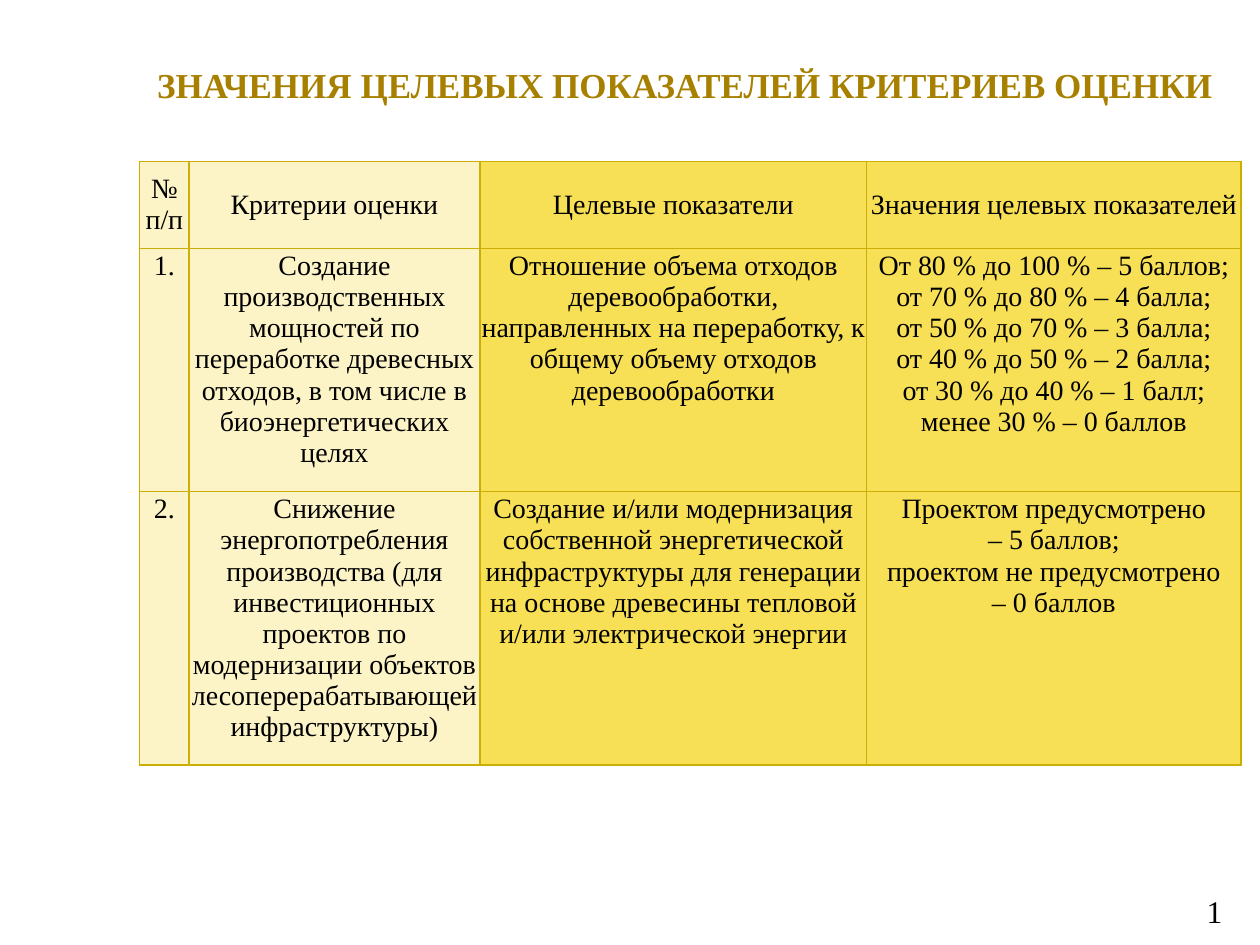
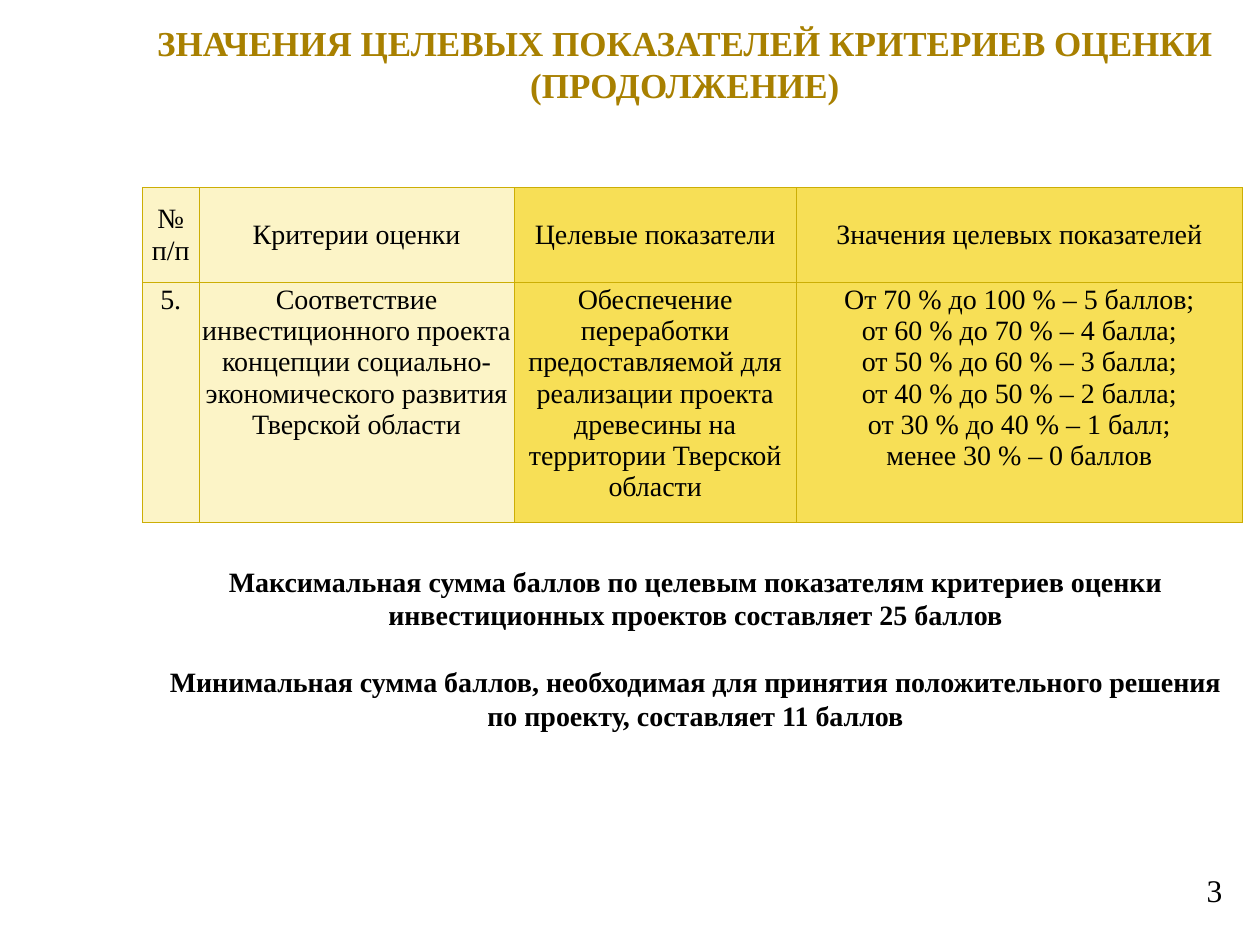
from lxml import etree
from pptx import Presentation
from pptx.dml.color import RGBColor
from pptx.enum.text import MSO_ANCHOR, PP_ALIGN
from pptx.oxml.ns import qn
from pptx.util import Inches, Pt

CENTER, RIGHT = PP_ALIGN.CENTER, PP_ALIGN.RIGHT
TOP, MIDDLE = MSO_ANCHOR.TOP, MSO_ANCHOR.MIDDLE

FONT = "Times New Roman"
GOLD = RGBColor(0xA8, 0x80, 0x00)
BLACK = RGBColor(0x00, 0x00, 0x00)
PALE = RGBColor(0xFC, 0xF4, 0xC7)
YELLOW = RGBColor(0xF7, 0xDF, 0x56)
EDGE = RGBColor(0xCC, 0xAE, 0x05)
FILLS = (PALE, PALE, YELLOW, YELLOW)

TITLE = "ЗНАЧЕНИЯ ЦЕЛЕВЫХ ПОКАЗАТЕЛЕЙ КРИТЕРИЕВ ОЦЕНКИ"
HEAD = ("№ п/п", "Критерии оценки", "Целевые показатели",
        "Значения целевых показателей")

WASTE = [
    "1.",
    "Создание производственных мощностей по переработке древесных отходов, "
    "в том числе в биоэнергетических целях",
    "Отношение объема отходов деревообработки, направленных на переработку, "
    "к общему объему отходов деревообработки",
    "От 80 % до 100 % – 5 баллов;\nот 70 % до 80 % – 4 балла;\n"
    "от 50 % до 70 % – 3 балла;\nот 40 % до 50 % – 2 балла;\n"
    "от 30 % до 40 % – 1 балл;\nменее 30 % – 0 баллов",
]
ENERGY = [
    "2.",
    "Снижение энергопотребления производства (для инвестиционных проектов по "
    "модернизации объектов лесоперерабатывающей инфраструктуры)",
    "Создание и/или модернизация собственной энергетической инфраструктуры для "
    "генерации на основе древесины тепловой и/или электрической энергии",
    "Проектом предусмотрено\n– 5 баллов;\n"
    "проектом не предусмотрено\n– 0 баллов",
]
REGION = [
    "5.",
    "Соответствие инвестиционного проекта концепции "
    "социально-экономического развития Тверской области",
    "Обеспечение\nпереработки предоставляемой для реализации проекта "
    "древесины на территории Тверской области",
    "От 70 % до 100 % – 5 баллов;\nот 60 % до 70 % – 4 балла;\n"
    "от 50 % до 60 % – 3 балла;\nот 40 % до 50 % – 2 балла;\n"
    "от 30 % до 40 % – 1 балл;\nменее 30 % – 0 баллов",
]
TOTALS = (
    "Максимальная сумма баллов по целевым показателям критериев оценки "
    "инвестиционных проектов составляет 25 баллов\n"
    "Минимальная сумма баллов, необходимая для принятия положительного решения "
    "по проекту, составляет 11 баллов"
)


def write(frame, text, size=16, color=BLACK, bold=False, align=CENTER, gap=0):
    """Fill a text frame, one paragraph a line, with gap points between."""
    frame.word_wrap = True
    for i, line in enumerate(text.split("\n")):
        para = frame.paragraphs[0] if i == 0 else frame.add_paragraph()
        para.alignment = align
        if i and gap:
            para.space_before = Pt(gap)
        run = para.add_run()
        run.text = line
        font = run.font
        font.name, font.size, font.bold = FONT, Pt(size), bold
        font.color.rgb = color


def add_text(slide, box, text, **style):
    frame = slide.shapes.add_textbox(*map(Inches, box)).text_frame
    frame.vertical_anchor = TOP
    write(frame, text, **style)
    return frame


def add_title(slide, text, drop=0):
    """Place the title, lowered inside its box by drop inches."""
    frame = add_text(slide, (1.07, 0.12, 8.73, 1.25), text,
                     size=20, color=GOLD, bold=True)
    frame.margin_left = frame.margin_right = Inches(0.02)
    frame.margin_top = Inches(0.05 + drop)


def add_number(slide, number, top):
    add_text(slide, (7.47, top, 2.33, 0.52), str(number), size=18, align=RIGHT)


def add_edges(cell):
    props = cell._tc.get_or_add_tcPr()
    for side in ("a:lnL", "a:lnR", "a:lnT", "a:lnB"):
        line = etree.SubElement(props, qn(side), w=str(Pt(0.75)))
        fill = etree.SubElement(line, qn("a:solidFill"))
        etree.SubElement(fill, qn("a:srgbClr"), val=str(EDGE))


def add_grid(slide, left, top, widths, heights, rows):
    """Add the criteria table with its heading row."""
    rows = [HEAD, *rows]
    shape = slide.shapes.add_table(
        len(rows), len(widths), Inches(left), Inches(top),
        Inches(sum(widths)), Inches(sum(heights)))
    table = shape.table
    for col, width in zip(table.columns, widths):
        col.width = Inches(width)
    for r, (texts, height) in enumerate(zip(rows, heights)):
        table.rows[r].height = Inches(height)
        for c, text in enumerate(texts):
            cell = table.cell(r, c)
            cell.margin_left = cell.margin_right = Inches(0.01)
            cell.margin_top = cell.margin_bottom = Inches(0.02)
            cell.vertical_anchor = TOP if r else MIDDLE
            add_edges(cell)
            cell.fill.solid()
            cell.fill.fore_color.rgb = FILLS[c]
            write(cell.text_frame, text)


def add_first(slide):
    add_title(slide, TITLE, drop=0.33)
    add_number(slide, 1, 7.03)
    add_grid(slide, 1.11, 1.28, (0.39, 2.31, 3.07, 2.97),
             (0.69, 1.93, 1.93), [WASTE, ENERGY])


def add_last(slide):
    add_title(slide, TITLE + " (ПРОДОЛЖЕНИЕ)")
    add_number(slide, 3, 6.86)
    add_grid(slide, 1.13, 1.49, (0.45, 2.5, 2.24, 3.54),
             (0.75, 1.82), [REGION])
    add_text(slide, (1.15, 4.43, 8.74, 1.45), TOTALS, bold=True, gap=19)


def main():
    deck = Presentation()
    deck.slide_width, deck.slide_height = Inches(10), Inches(7.5)
    for build in (add_first, add_last):
        build(deck.slides.add_slide(deck.slide_layouts[6]))
    deck.save("out.pptx")


if __name__ == "__main__":
    main()
